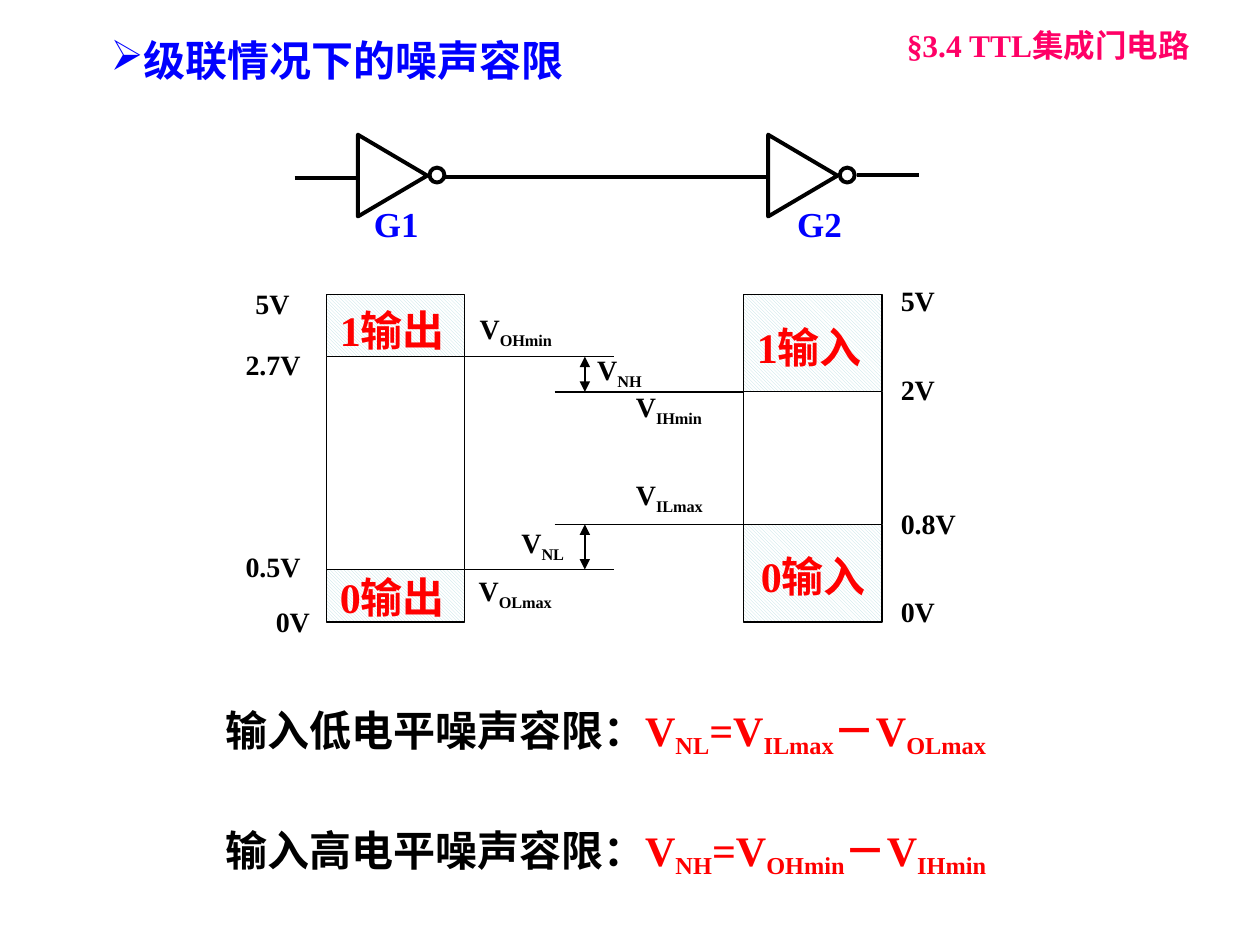
from lxml.etree import SubElement
from pptx import Presentation
from pptx.dml.color import RGBColor
from pptx.enum.dml import MSO_PATTERN as Pattern
from pptx.enum.shapes import MSO_CONNECTOR as Connector, MSO_SHAPE as Shape
from pptx.enum.text import MSO_AUTO_SIZE as AutoSize
from pptx.oxml.ns import qn
from pptx.util import Cm, Pt

BLACK = RGBColor(0x00, 0x00, 0x00)
WHITE = RGBColor(0xFF, 0xFF, 0xFF)
RED = RGBColor(0xFF, 0x00, 0x00)
BLUE = RGBColor(0x00, 0x00, 0xFF)
PINK = RGBColor(0xFF, 0x00, 0x66)
TEAL = RGBColor(0xBB, 0xE0, 0xE3)
FONT = "Times New Roman"

BAR_WIDTH = 2.79
OUTPUT_LEFT, INPUT_LEFT = 6.58, 14.99
OUTPUT_RIGHT = OUTPUT_LEFT + BAR_WIDTH
SUPPLY, GROUND = 5.94, 12.54
OUTPUT_HIGH, OUTPUT_LOW = 7.19, 11.48
INPUT_HIGH, INPUT_LOW = 7.9, 10.57
ARROW_X = 11.79
GATE_STEP = 8.27


def add_span(para, text, size, color, baseline=0):
    span = para.add_run()
    span.text = text
    span.font.name = FONT
    span.font.size = Pt(size)
    span.font.bold = True
    span.font.color.rgb = color
    if baseline:
        span._r.get_or_add_rPr().set("baseline", str(baseline * 1000))


def add_box(shapes, left, top, width, height, wrap=True, grow=True):
    box = shapes.add_textbox(Cm(left), Cm(top), Cm(width), Cm(height))
    frame = box.text_frame
    frame.word_wrap = wrap
    frame.auto_size = AutoSize.SHAPE_TO_FIT_TEXT if grow else AutoSize.NONE
    return frame


def add_label(shapes, text, left, top, width, height, size, color, wrap=True):
    para = add_box(shapes, left, top, width, height, wrap).paragraphs[0]
    add_span(para, text, size, color)
    return para


def add_symbol(shapes, subscript, left, top, width):
    para = add_label(shapes, "V", left, top, width, 0.94, 16, BLACK)
    add_span(para, subscript, 16, BLACK, -25)


def add_line(shapes, x1, y1, x2, y2, weight=0.75, arrows=False):
    line = shapes.add_connector(Connector.STRAIGHT, Cm(x1), Cm(y1), Cm(x2), Cm(y2))
    line.line.color.rgb = BLACK
    line.line.width = Pt(weight)
    properties = line._element.spPr
    if arrows:
        outline = properties.find(qn("a:ln"))
        for end in ("a:headEnd", "a:tailEnd"):
            SubElement(outline, qn(end), type="triangle")
    SubElement(properties, qn("a:effectLst"))


def add_outlined(shapes, kind, left, top, width, height, weight):
    shape = shapes.add_shape(kind, Cm(left), Cm(top), Cm(width), Cm(height))
    shape.shadow.inherit = False
    shape.fill.background()
    shape.line.color.rgb = BLACK
    shape.line.width = Pt(weight)
    return shape


def add_bar(shapes, left, high, low, names, volts):
    for top, bottom in ((SUPPLY, high), (low, GROUND)):
        zone = add_outlined(shapes, Shape.RECTANGLE, left, top, BAR_WIDTH, bottom - top, 0.75)
        zone.fill.patterned()
        zone.fill.pattern = Pattern.DARK_DOWNWARD_DIAGONAL
        zone.fill.fore_color.rgb = TEAL
        zone.fill.back_color.rgb = WHITE
    for edge in (left, left + BAR_WIDTH):
        add_line(shapes, edge, high, edge, low)
    for text, x, y in names:
        add_label(shapes, text, x, y, 3.2, 1.27, 24, RED)
    for text, x, y, width in volts:
        add_label(shapes, text, x, y, width, 0.94, 16, BLACK)


def add_gates(shapes):
    for index, name in enumerate(("G1", "G2")):
        shift = index * GATE_STEP
        body = add_outlined(shapes, Shape.FLOWCHART_MERGE, 7.09 + shift, 2.84, 1.65, 1.4, 2.25)
        body.rotation = 270
        add_outlined(shapes, Shape.OVAL, 8.66 + shift, 3.38, 0.3, 0.3, 2.25)
        add_label(shapes, name, 7.29 + index * 8.53, 3.96, 1.5, 1.12, 20, BLUE)
    for start, end, y in ((5.94, 7.21, 3.58), (8.97, 15.47, 3.56), (17.27, 18.52, 3.53)):
        add_line(shapes, start, y, end, y, 2.25)


def add_margins(shapes):
    for y in (OUTPUT_HIGH, OUTPUT_LOW):
        add_line(shapes, OUTPUT_RIGHT, y, 12.37, y)
    for y in (INPUT_HIGH, INPUT_LOW):
        add_line(shapes, 11.18, y, INPUT_LEFT, y)
    add_line(shapes, ARROW_X, INPUT_LOW, ARROW_X, OUTPUT_LOW, arrows=True)
    add_line(shapes, ARROW_X, OUTPUT_HIGH, ARROW_X, INPUT_HIGH, arrows=True)
    for symbol in (
        ("OHmin", 9.42, 6.15, 2.49),
        ("IHmin", 12.57, 7.72, 2.31),
        ("NH", 11.79, 6.99, 1.5),
        ("ILmax", 12.57, 9.5, 2.34),
        ("OLmax", 9.4, 11.43, 2.49),
        ("NL", 10.26, 10.46, 1.85),
    ):
        add_symbol(shapes, *symbol)


def add_formulas(shapes):
    frame = add_box(shapes, 4.29, 14.07, 16.79, 3.78, grow=False)
    formulas = (
        ("输入低电平噪声容限：", "NL", "ILmax", "OLmax"),
        ("输入高电平噪声容限：", "NH", "OHmin", "IHmin"),
    )
    for index, (caption, *subscripts) in enumerate(formulas):
        para = frame.add_paragraph() if index else frame.paragraphs[0]
        if index:
            para.space_before = Pt(37)
        add_span(para, caption, 24, BLACK)
        for lead, subscript in zip(("V", "=V", "－V"), subscripts):
            add_span(para, lead, 24, RED)
            add_span(para, subscript, 24, RED, -20)


def add_title(shapes):
    para = add_label(shapes, "级联情况下的噪声容限", 1.98, 0.58, 11.3, 1.3, 24, BLUE)
    SubElement(para._p.get_or_add_pPr(), qn("a:buChar"), char="➢")


def main():
    deck = Presentation()
    deck.slide_width, deck.slide_height = Cm(25.4), Cm(19.05)
    shapes = deck.slides.add_slide(deck.slide_layouts[6]).shapes
    add_margins(shapes)
    add_formulas(shapes)
    add_bar(
        shapes.add_group_shape().shapes, OUTPUT_LEFT, OUTPUT_HIGH, OUTPUT_LOW,
        (("1输出", 6.6, 6.02), ("0输出", 6.6, 11.4)),
        (("5V", 4.9, 5.66, 1.4), ("2.7V", 4.7, 6.88, 2.18),
         ("0.5V", 4.7, 10.95, 2.18), ("0V", 5.31, 12.07, 1.4)),
    )
    add_bar(
        shapes.add_group_shape().shapes, INPUT_LEFT, INPUT_HIGH, INPUT_LOW,
        (("1输入", 15.01, 6.35), ("0输入", 15.09, 10.97)),
        (("5V", 17.91, 5.59, 1.4), ("2V", 17.91, 7.39, 1.4),
         ("0.8V", 17.91, 10.08, 2.01), ("0V", 17.91, 11.86, 1.4)),
    )
    add_title(shapes)
    add_gates(shapes.add_group_shape().shapes)
    add_label(shapes, "§3.4 TTL集成门电路", 18.03, 0.41, 6.81, 1.02, 18, PINK, wrap=False)
    deck.save("out.pptx")


if __name__ == "__main__":
    main()
